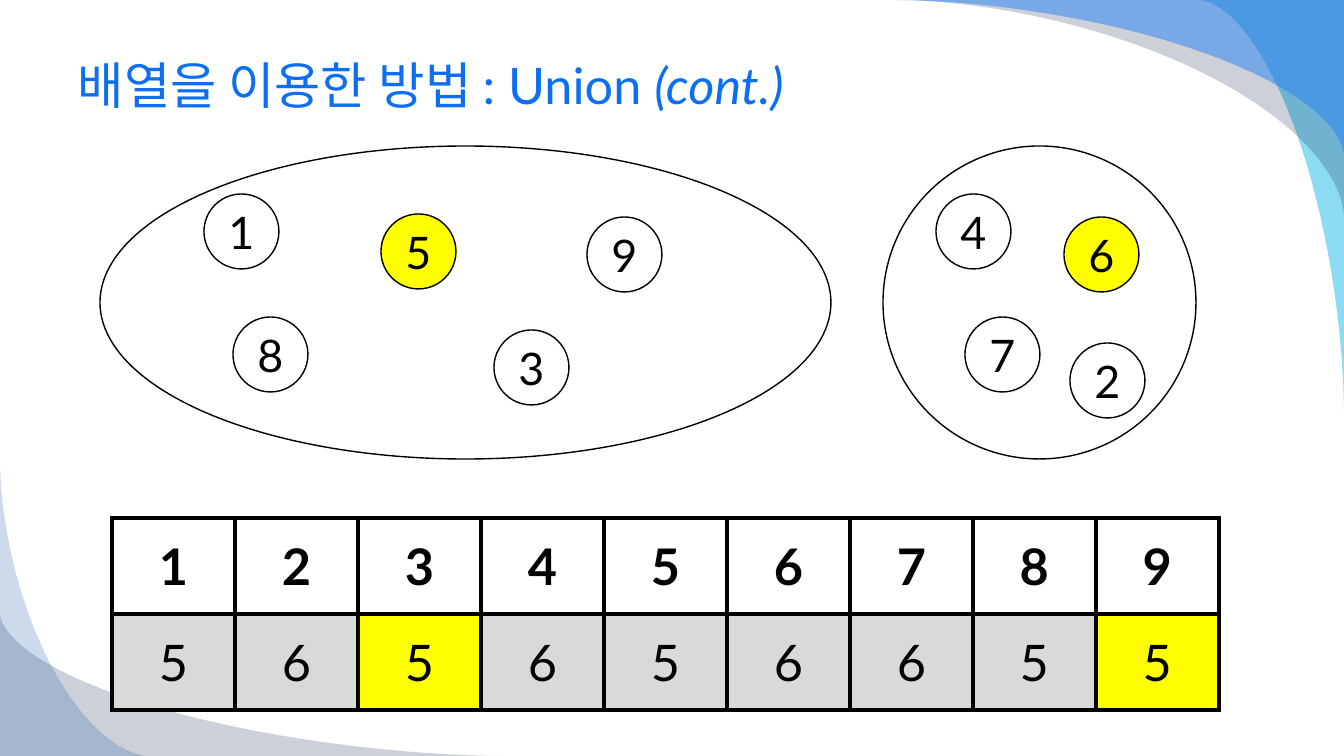
import math
from dataclasses import dataclass

from lxml import etree
from pptx import Presentation
from pptx import util as u
from pptx.dml.color import RGBColor
from pptx.enum import shapes, text
from pptx.oxml.ns import qn

SCALE = 914400 / 100.8
WIDTH, HEIGHT = 1344, 756


def emu(pixels):
    return u.Emu(round(pixels * SCALE))


@dataclass(frozen=True)
class Theme:
    font: str = "Lato"
    ink: str = "000000"
    paper: str = "FFFFFF"
    title: str = "0C6FF2"
    highlight: str = "FFFF00"
    parent_row: str = "D9D9D9"
    cyan: str = "00B1E9"
    navy: str = "021741"
    blue: str = "247FF4"
    deep_blue: str = "084AA1"
    title_size: int = 36
    node_size: int = 32
    table_size: int = 36
    outline: int = 1
    border: int = 3


class SlideBuilder:
    def __init__(self, slide, theme):
        self.slide = slide
        self.theme = theme

    def paint(self, fill, color):
        fill.solid()
        fill.fore_color.rgb = RGBColor.from_string(color)

    def style(self, paragraph, size, color, bold=False):
        font = paragraph.font
        font.name, font.size, font.bold = self.theme.font, u.Pt(size), bold
        font.color.rgb = RGBColor.from_string(color)

    def swoosh(self, corner, width, height, color, opacity):
        """Fill a slide corner up to a superellipse arc; signs point inward."""
        x, y = corner
        power, steps = 2 / 1.76, 48
        angles = [math.pi / 2 * step / steps for step in range(1, steps)]
        arc = [(x + width * (1 - math.sin(angle) ** power),
                y + height * (1 - math.cos(angle) ** power)) for angle in angles]
        builder = self.slide.shapes.build_freeform(
            round((x + width) * SCALE), round(y * SCALE))
        outline = arc + [(x, y + height), corner]
        builder.add_line_segments(
            [(round(px * SCALE), round(py * SCALE)) for px, py in outline], close=True)
        shape = builder.convert_to_shape()
        shape.shadow.inherit = False
        shape.line.fill.background()
        self.paint(shape.fill, color)
        color_element = shape.fill._xPr.find(qn("a:solidFill"))[0]
        etree.SubElement(color_element, qn("a:alpha"), val=str(opacity * 1000))

    def title(self, box, plain, italic):
        frame = self.slide.shapes.add_textbox(*map(emu, box)).text_frame
        frame.word_wrap = True
        frame.vertical_anchor = text.MSO_ANCHOR.MIDDLE
        paragraph = frame.paragraphs[0]
        self.style(paragraph, self.theme.title_size, self.theme.title)
        paragraph.add_run().text = plain
        run = paragraph.add_run()
        run.text = italic
        run.font.italic = True

    def ellipse(self, box, color, label=None):
        shape = self.slide.shapes.add_shape(shapes.MSO_SHAPE.OVAL, *map(emu, box))
        shape.shadow.inherit = False
        self.paint(shape.fill, color)
        self.paint(shape.line.fill, self.theme.ink)
        shape.line.width = u.Pt(self.theme.outline)
        if label is not None:
            frame = shape.text_frame
            frame.vertical_anchor = text.MSO_ANCHOR.MIDDLE
            paragraph = frame.paragraphs[0]
            paragraph.text = str(label)
            paragraph.alignment = text.PP_ALIGN.CENTER
            self.style(paragraph, self.theme.node_size, self.theme.ink)

    def cell_borders(self, cell):
        properties = cell._tc.get_or_add_tcPr()
        for index, side in enumerate(("lnL", "lnR", "lnT", "lnB")):
            line = etree.Element(qn(f"a:{side}"), w=str(u.Pt(self.theme.border)))
            fill = etree.SubElement(line, qn("a:solidFill"))
            etree.SubElement(fill, qn("a:srgbClr"), val=self.theme.ink)
            properties.insert(index, line)

    def table(self, left, top, column_width, row_height, rows, changed):
        count = len(rows[0])
        table = self.slide.shapes.add_table(
            len(rows), count, emu(left), emu(top),
            emu(column_width * count), emu(row_height * len(rows))).table
        for row_index, values in enumerate(rows):
            header = row_index == 0
            for column_index, value in enumerate(values):
                cell = table.cell(row_index, column_index)
                cell.vertical_anchor = text.MSO_ANCHOR.MIDDLE
                paragraph = cell.text_frame.paragraphs[0]
                paragraph.text = str(value)
                paragraph.alignment = text.PP_ALIGN.CENTER
                self.style(paragraph, self.theme.table_size, self.theme.ink, header)
                color = self.theme.paper if header else self.theme.parent_row
                if (row_index, column_index) in changed:
                    color = self.theme.highlight
                self.paint(cell.fill, color)
                self.cell_borders(cell)


theme = Theme()
presentation = Presentation()
presentation.slide_width, presentation.slide_height = emu(WIDTH), emu(HEIGHT)
slide = presentation.slides.add_slide(presentation.slide_layouts[6])
builder = SlideBuilder(slide, theme)

# Corner decoration
top_right, bottom_left = (WIDTH, 0), (0, HEIGHT)
for swoosh in (
    (top_right, -145, 411, theme.cyan, 45),
    (top_right, -448, 217, theme.navy, 20),
    (top_right, -448, 156, theme.blue, 49),
    (bottom_left, 504, -143, theme.navy, 20),
    (bottom_left, 149, -294, theme.deep_blue, 20),
):
    builder.swoosh(*swoosh)

# Title
builder.title((68, 33, 1210, 102), "배열을 이용한 방법 : Union ", "(cont.)")

# Disjoint sets: each boundary, its representative and its members
NODE = 75
sets = (
    ((100, 146, 731, 313), 5,
     {1: (204, 194), 5: (381, 214), 8: (233, 317), 9: (587, 217), 3: (494, 330)}),
    ((883, 146, 313, 313), 6,
     {4: (936, 194), 6: (1064, 217), 7: (965, 317), 2: (1070, 343)}),
)
for boundary, representative, members in sets:
    builder.ellipse(boundary, theme.paper)
    for label, (left, top) in members.items():
        color = theme.highlight if label == representative else theme.paper
        builder.ellipse((left, top, NODE, NODE), color, label)

# Array of set representatives
elements = range(1, 10)
representatives = (5, 6, 5, 6, 5, 6, 6, 5, 5)
builder.table(112, 518, 123, 96, (elements, representatives), {(1, 2), (1, 8)})

presentation.save("out.pptx")
